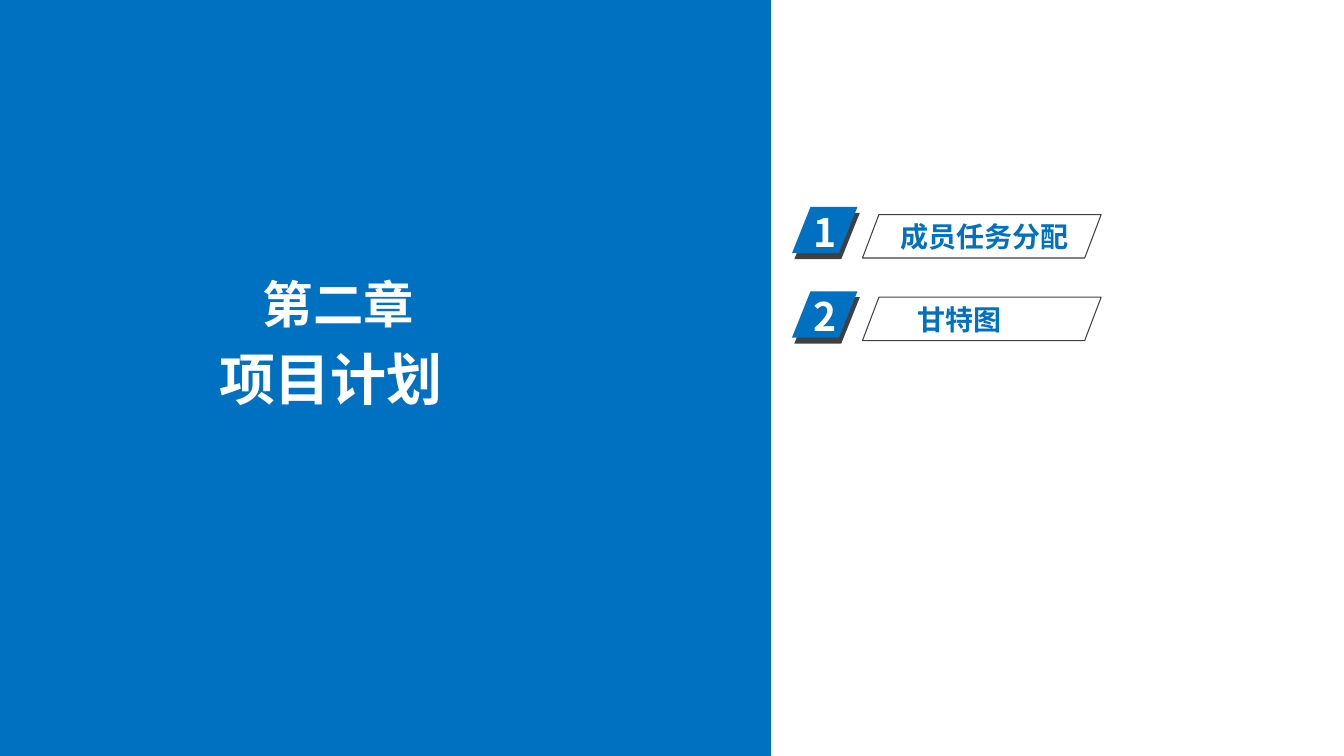
from lxml.etree import SubElement
from pptx import Presentation
from pptx.dml.color import RGBColor
from pptx.enum.shapes import MSO_SHAPE
from pptx.enum.text import MSO_ANCHOR, MSO_AUTO_SIZE, PP_ALIGN
from pptx.oxml.ns import qn
from pptx.util import Pt

BLUE = RGBColor(0x00, 0x70, 0xC0)
DARK = RGBColor(0x40, 0x40, 0x40)
WHITE = RGBColor(0xFF, 0xFF, 0xFF)
FONT = "Noto Sans CJK SC"

SLIDE_W, SLIDE_H = 960.5, 540
PANEL_W = 551
BADGE_W, BADGE_H = 46.8, 33.1
FRAME_W, FRAME_H = 170.6, 31
# Number, label, label indent inside the frame
ITEMS = [("1", "成员任务分配", 20.2), ("2", "甘特图", 32.4)]


def write(sp, text, size, color, align=PP_ALIGN.LEFT):
    tf = sp.text_frame
    tf.word_wrap = True
    tf.auto_size = MSO_AUTO_SIZE.NONE
    tf.vertical_anchor = MSO_ANCHOR.TOP
    p = tf.paragraphs[0]
    p.text = text
    p.alignment = align
    p.font.size = Pt(size)
    p.font.bold = True
    p.font.color.rgb = color
    p.font.name = FONT
    # East Asian typeface
    props = p._p.get_or_add_pPr().find(qn("a:defRPr"))
    SubElement(props, qn("a:ea")).set("typeface", FONT)


def add_text(shapes, x, y, w, h, text, size, color):
    sp = shapes.add_textbox(Pt(x), Pt(y), Pt(w), Pt(h))
    write(sp, text, size, color)


def add_block(shapes, kind, x, y, w, h, fill=None, slant=None):
    sp = shapes.add_shape(kind, Pt(x), Pt(y), Pt(w), Pt(h))
    sp.shadow.inherit = False
    if slant is not None:
        sp.adjustments[0] = slant
    if fill is None:
        sp.fill.background()
        sp.line.color.rgb = DARK
        sp.line.width = Pt(0.75)
    else:
        sp.fill.solid()
        sp.fill.fore_color.rgb = fill
        sp.line.fill.background()
    return sp


def add_chapter_panel(s, x, y, w, h):
    title = s.shapes.title
    # Blue panel, kept behind the title
    panel = add_block(s.shapes, MSO_SHAPE.RECTANGLE, x, y, w, h, BLUE)
    title.element.addprevious(panel.element)
    # Chapter number and title
    add_text(s.shapes, x + 180.7, y + 191.5, 130.3, 50.4, "第二章", 36, WHITE)
    title.left, title.top = Pt(x + 100.8), Pt(y + 242.6)
    title.width, title.height = Pt(271.4), Pt(55.4)
    write(title, "项目计划", 40, WHITE, PP_ALIGN.CENTER)


def add_badge(s, x, y, number):
    shapes = s.shapes.add_group_shape().shapes
    for dx, dy, fill in [(1.7, 4.2, DARK), (0, 0, BLUE)]:
        add_block(shapes, MSO_SHAPE.PARALLELOGRAM, x + dx, y + dy,
                  BADGE_W, BADGE_H, fill, 0.4)
    add_text(shapes, x + 8, y - 2.5, 49.7, 41, number, 28, WHITE)


def add_contents(s, x, y):
    for i, (number, label, indent) in enumerate(ITEMS):
        add_badge(s, x, y + i * 60.3, number)
        # Outlined frame and its label
        frame_x, frame_y = x + 50.4, y + 5.5 + i * 59
        add_block(s.shapes, MSO_SHAPE.PARALLELOGRAM, frame_x, frame_y,
                  FRAME_W, FRAME_H, slant=0.38)
        add_text(s.shapes, frame_x + indent, frame_y, 218.2, 31.7, label, 20, BLUE)


def main():
    prs = Presentation()
    prs.slide_width, prs.slide_height = Pt(SLIDE_W), Pt(SLIDE_H)
    s = prs.slides.add_slide(prs.slide_layouts[5])
    add_chapter_panel(s, 0, 0, PANEL_W, SLIDE_H)
    add_contents(s, 566, 147.8)
    prs.save("out.pptx")


if __name__ == "__main__":
    main()
